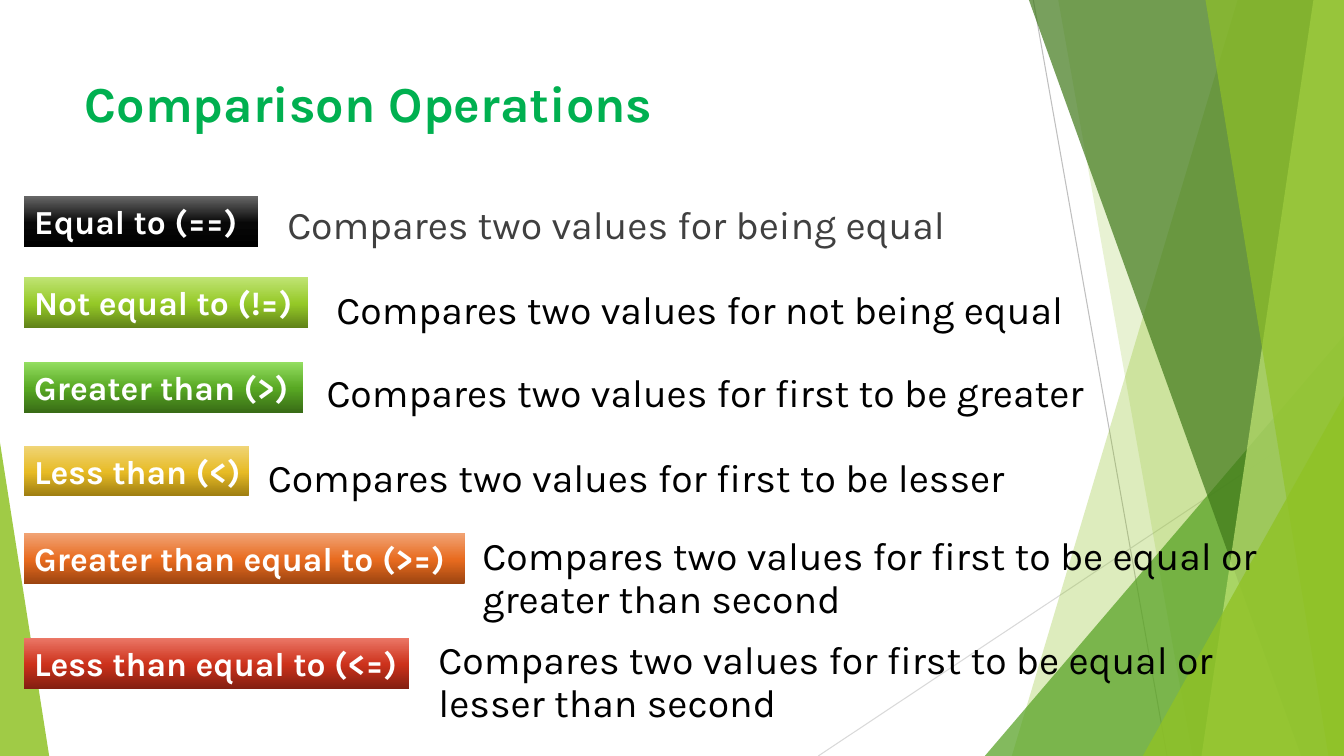
"""Build the slide that explains the comparison operations."""
from copy import deepcopy

from lxml import etree
from pptx import Presentation
from pptx.dml.color import RGBColor
from pptx.enum import shapes, text
from pptx.oxml.ns import qn
from pptx.util import Cm, Pt

FONT = "Karla"
WIDTH, HEIGHT = 33.87, 19.05
WHITE = RGBColor(0xFF, 0xFF, 0xFF)
BLACK = RGBColor(0x00, 0x00, 0x00)
CHARCOAL = RGBColor(0x40, 0x40, 0x40)
TITLE_GREEN = RGBColor(0x00, 0xB0, 0x50)
LIME = RGBColor(0x90, 0xC2, 0x26)
PALE_LIME = RGBColor(0xC0, 0xE4, 0x74)
LEAF = RGBColor(0x54, 0xA0, 0x21)
FOREST = RGBColor(0x3F, 0x78, 0x19)
GREY = RGBColor(0xBF, 0xBF, 0xBF)
LIGHT_GREY = RGBColor(0xD9, 0xD9, 0xD9)

BLACK_SHADES = (BLACK, RGBColor(0x08, 0x08, 0x08), RGBColor(0x66, 0x66, 0x66))
LIME_SHADES = (RGBColor(0x60, 0x82, 0x19), RGBColor(0x95, 0xC9, 0x27), PALE_LIME)
GREEN_SHADES = (RGBColor(0x38, 0x6B, 0x16), RGBColor(0x58, 0xA8, 0x23), RGBColor(0x94, 0xDE, 0x61))
GOLD_SHADES = (RGBColor(0x9D, 0x7D, 0x11), RGBColor(0xE7, 0xBB, 0x25), RGBColor(0xF0, 0xD5, 0x78))
ORANGE_SHADES = (RGBColor(0x9B, 0x44, 0x10), RGBColor(0xE8, 0x6B, 0x1F), RGBColor(0xF1, 0xA3, 0x74))
RED_SHADES = (RGBColor(0x83, 0x1F, 0x11), RGBColor(0xCC, 0x31, 0x1B), RGBColor(0xEB, 0x77, 0x66))

OPERATIONS = [
    ("Equal to (==)", 4.95, 5.89, BLACK_SHADES,
     "Compares two values for being equal", 6.99, 4.93, CHARCOAL, 1.0),
    ("Not equal to (!=)", 6.99, 7.16, LIME_SHADES,
     "Compares two values for not being equal", 8.23, 7.19, BLACK, 0.9),
    ("Greater than (>)", 9.12, 7.04, GREEN_SHADES,
     "Compares two values for first to be greater", 7.98, 9.3, BLACK, 0.9),
    ("Less than (<)", 11.23, 5.66, GOLD_SHADES,
     "Compares two values for first to be lesser", 6.5, 11.43, BLACK, 0.9),
    ("Greater than equal to (>=)", 13.44, 11.1, ORANGE_SHADES,
     "Compares two values for first to be equal or greater than second", 11.91, 13.41, BLACK, 0.9),
    ("Less than equal to (<=)", 16.08, 9.7, RED_SHADES,
     "Compares two values for first to be equal or lesser than second", 10.8, 16.03, BLACK, 0.9),
]


def style_text(frame, words, size, color, bold=False):
    frame.text = words
    frame.vertical_anchor = text.MSO_ANCHOR.TOP
    frame.auto_size = text.MSO_AUTO_SIZE.NONE
    para = frame.paragraphs[0]
    para.alignment = text.PP_ALIGN.LEFT
    para.font.name = FONT
    para.font.size = Pt(size)
    para.font.bold = bold
    para.font.color.rgb = color
    return para


def add_thin_line(page, start, end, color):
    ends = [Cm(value) for value in (*start, *end)]
    line = page.shapes.add_connector(shapes.MSO_CONNECTOR.STRAIGHT, *ends)
    line.line.color.rgb = color
    line.line.width = Pt(0.75)
    etree.SubElement(line._element.spPr, qn("a:effectLst"))


def paint_facet(shape, color, opacity):
    shape.shadow.inherit = False
    shape.line.fill.background()
    shape.fill.solid()
    shape.fill.fore_color.rgb = color
    tint = shape._element.spPr.find(qn("a:solidFill"))[0]
    etree.SubElement(tint, qn("a:alpha"), val=str(opacity * 1000))


def add_band(page, top_x, bottom_x, color, opacity):
    corners = [(top_x, 0), (WIDTH, 0), (WIDTH, HEIGHT), (bottom_x, HEIGHT)]
    points = [(Cm(x), Cm(y)) for x, y in corners]
    outline = page.shapes.build_freeform(*points[0])
    outline.add_line_segments(points[1:], close=True)
    paint_facet(outline.convert_to_shape(), color, opacity)


def add_corner(page, left, right, top, apex, color, opacity):
    corner = page.shapes.add_shape(
        shapes.MSO_SHAPE.ISOSCELES_TRIANGLE,
        Cm(left), Cm(top), Cm(right - left), Cm(HEIGHT - top))
    corner.adjustments[0] = apex
    paint_facet(corner, color, opacity)


def add_backdrop(page):
    add_thin_line(page, (26.04, 0), (29.41, HEIGHT), GREY)
    add_thin_line(page, (WIDTH, 10.24), (20.62, HEIGHT), LIGHT_GREY)
    add_band(page, 31.19, 25.5, LIME, 30)
    add_band(page, 26.67, 30.05, LIME, 20)
    add_corner(page, 24.82, WIDTH, 8.46, 1, LEAF, 72)
    add_band(page, 25.93, 32.79, FOREST, 70)
    add_band(page, 33.1, 30.28, PALE_LIME, 70)
    add_band(page, 30.38, 33.48, LIME, 65)
    add_corner(page, 28.8, WIDTH, 9.98, 1, LIME, 80)
    add_corner(page, 0, 1.24, 11.15, 0, LIME, 85)


def add_title(page, words):
    title = page.shapes.title
    title.left, title.top, title.width, title.height = Cm(1.88), Cm(1.7), Cm(23.88), Cm(3.66)
    style_text(title.text_frame, words, 36, TITLE_GREEN, bold=True)


def add_label(page, words, top, width, shades):
    label = page.shapes.add_shape(
        shapes.MSO_SHAPE.RECTANGLE, Cm(0.61), Cm(top), Cm(width), Cm(1.28))
    label.shadow.inherit = False
    label.line.fill.background()
    label.fill.gradient()
    label.fill.gradient_angle = 90
    stop_list = label._element.spPr.find(".//" + qn("a:gsLst"))
    stop_list.append(deepcopy(stop_list[0]))
    for stop, position, shade in zip(label.fill.gradient_stops, (0, 0.48, 1), shades):
        stop.position = position
        stop.color.rgb = shade
    label.text_frame.word_wrap = False
    style_text(label.text_frame, words, 24, WHITE, bold=True)


def add_description(page, words, left, top, color, spacing):
    box = page.shapes.add_textbox(Cm(left), Cm(top), Cm(21.2), Cm(1.5))
    box.text_frame.word_wrap = True
    para = style_text(box.text_frame, words, 28, color)
    para.line_spacing = spacing


def main():
    deck = Presentation()
    deck.slide_width, deck.slide_height = Cm(WIDTH), Cm(HEIGHT)
    page = deck.slides.add_slide(deck.slide_layouts.get_by_name("Title Only"))
    add_backdrop(page)
    add_title(page, "Comparison Operations")
    for name, top, width, shades, meaning, left, text_top, color, spacing in OPERATIONS:
        add_description(page, meaning, left, text_top, color, spacing)
        add_label(page, name, top, width, shades)
    deck.save("out.pptx")


if __name__ == "__main__":
    main()
